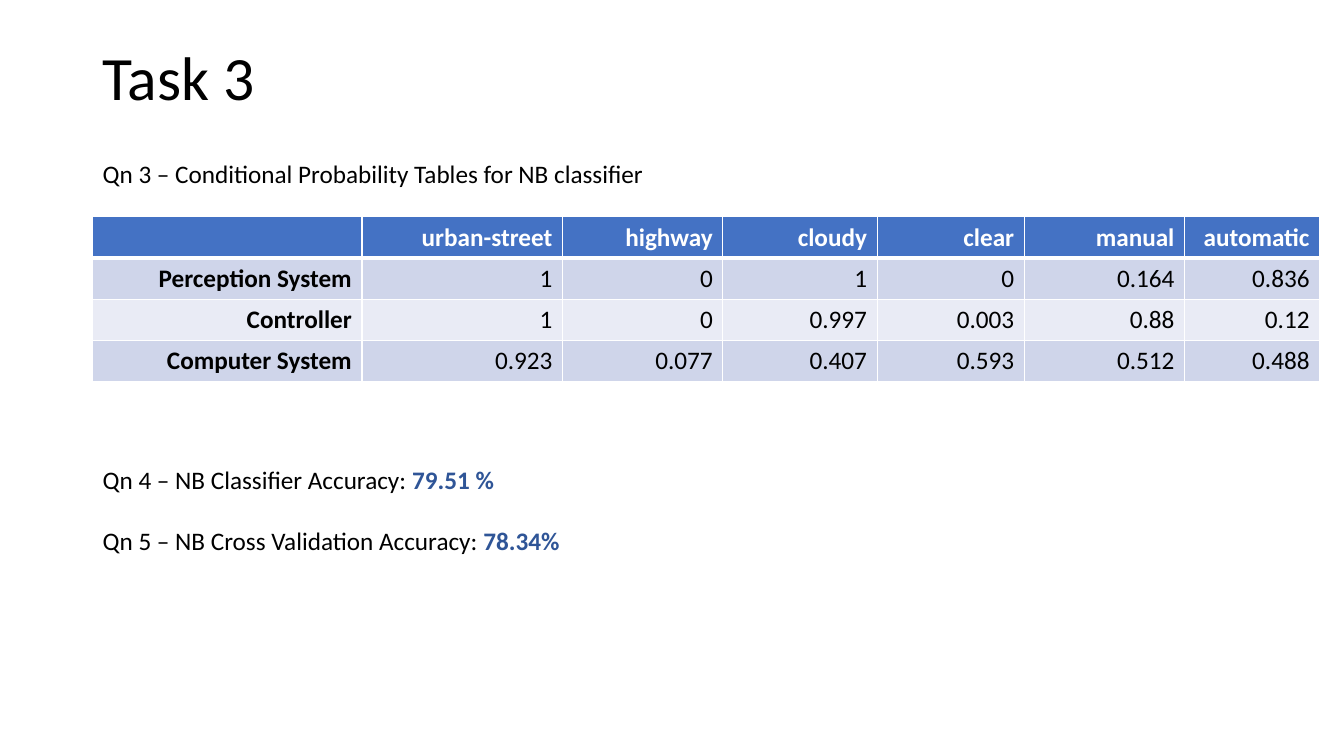
from lxml import etree
from pptx import Presentation
from pptx.dml.color import RGBColor
from pptx.enum.text import MSO_ANCHOR, PP_ALIGN
from pptx.oxml.ns import qn
from pptx.util import Inches, Pt

MIDDLE, TOP = MSO_ANCHOR.MIDDLE, MSO_ANCHOR.TOP
LEFT, RIGHT = PP_ALIGN.LEFT, PP_ALIGN.RIGHT
BLACK = RGBColor(0x00, 0x00, 0x00)
WHITE = RGBColor(0xFF, 0xFF, 0xFF)
NAVY = RGBColor(0x2F, 0x55, 0x97)
HEAD = RGBColor(0x44, 0x72, 0xC4)
BANDS = (RGBColor(0xE9, 0xEB, 0xF5), RGBColor(0xCF, 0xD5, 0xEA))

WIDTHS = (2.67, 1.99, 1.59, 1.53, 1.46, 1.59, 1.34)
ROW = 0.41
MARGIN = 0.92
ODDS = (
    ("", "urban-street", "highway", "cloudy", "clear", "manual", "automatic"),
    ("Perception System", "1", "0", "1", "0", "0.164", "0.836"),
    ("Controller", "1", "0", "0.997", "0.003", "0.88", "0.12"),
    ("Computer System", "0.923", "0.077", "0.407", "0.593", "0.512", "0.488"),
)


class Deck:
    """Holds the text style and the current slide, and adds elements to it."""

    def __init__(self, slide, font="Calibri", size=18):
        self.slide = slide
        self.style = {"name": font, "size": Pt(size), "bold": False}

    def label(self, para, text, color=BLACK, **extra):
        run = para.add_run()
        run.text = text
        for key, value in {**self.style, **extra}.items():
            setattr(run.font, key, value)
        run.font.color.rgb = color

    def text(self, box, lines, anchor=TOP, layout=None, **extra):
        frame = self.slide.shapes.add_textbox(*map(Inches, box)).text_frame
        frame.word_wrap = True
        frame.vertical_anchor = anchor
        for i, (lead, value) in enumerate(lines):
            para = frame.add_paragraph() if i else frame.paragraphs[0]
            for key, item in (layout or {}).items():
                setattr(para, key, item)
            self.label(para, lead, **extra)
            if value:
                self.label(para, value, NAVY, bold=True)

    def edge(self, cell, side, width):
        line = etree.SubElement(cell._tc.get_or_add_tcPr(), qn("a:ln" + side), w=str(Pt(width)))
        fill = etree.SubElement(line, qn("a:solidFill"))
        etree.SubElement(fill, qn("a:srgbClr"), val=str(WHITE))

    def cell(self, cell, text, row, col):
        for side in "LRTB":
            thick = (row, side) in ((0, "B"), (1, "T"))
            self.edge(cell, side, 3 if thick else 1)
        cell.fill.solid()
        cell.fill.fore_color.rgb = BANDS[row % 2] if row else HEAD
        cell.vertical_anchor = MIDDLE
        para = cell.text_frame.paragraphs[0]
        para.alignment = RIGHT
        if text:
            self.label(para, text, BLACK if row else WHITE, bold=not (row and col))

    def table(self, left, top, widths, height, data):
        box = (left, top, sum(widths), height * len(data))
        grid = self.slide.shapes.add_table(len(data), len(widths), *map(Inches, box)).table
        for column, width in zip(grid.columns, widths):
            column.width = Inches(width)
        for r, values in enumerate(data):
            grid.rows[r].height = Inches(height)
            for c, value in enumerate(values):
                self.cell(grid.cell(r, c), value, r, c)


show = Presentation()
show.slide_width, show.slide_height = Inches(13.33), Inches(7.5)
deck = Deck(show.slides.add_slide(show.slide_layouts[6]))

deck.text((MARGIN, 0.07, 11.5, 1.45), [("Task 3", "")], MIDDLE,
          {"alignment": LEFT, "line_spacing": 0.9}, size=Pt(44))
deck.text((MARGIN, 1.52, 6.88, 2.52),
          [("Qn 3 – Conditional Probability Tables for NB classifier", "")])
deck.text((MARGIN, 4.56, 6.88, 1.62),
          [("Qn 4 – NB Classifier Accuracy: ", "79.51 %"),
           ("Qn 5 – NB Cross Validation Accuracy: ", "78.34%")],
          layout={"space_after": Pt(22)})
deck.table(MARGIN, 2.15, WIDTHS, ROW, ODDS)

show.save("out.pptx")
